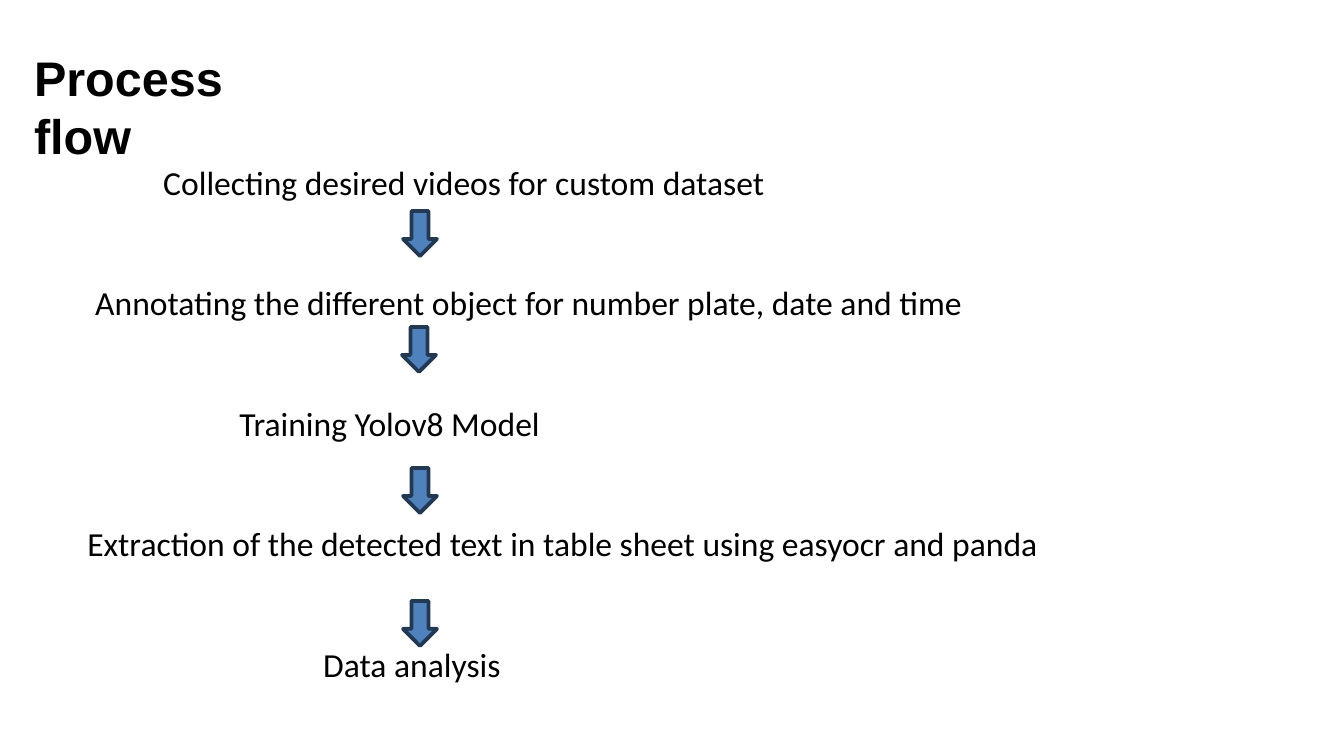
from pptx import Presentation, util as u
from pptx.dml.color import RGBColor
from pptx.enum import shapes, text

SCALE = 914400 / 134.4


def px(n):
    return u.Emu(round(n * SCALE))


def tint(code):
    return RGBColor.from_string(code)


def write(para, words, font="Calibri", size=18, color="000000",
          bold=False, before=0, indent=0):
    para.alignment = text.PP_ALIGN.LEFT
    para.space_before = u.Pt(before)
    props = para._p.get_or_add_pPr()
    props.set("marL", str(px(indent)))
    props.set("indent", "0")
    run = para.add_run()
    run.text = words
    run.font.name = font
    run.font.size = u.Pt(size)
    run.font.bold = bold
    run.font.color.rgb = tint(color)


class Deck:
    fill = "4F81BD"
    edge = "233953"

    def __init__(self, wide, high):
        self.prs = Presentation()
        self.prs.slide_width = px(wide)
        self.prs.slide_height = px(high)
        self.slide = self.prs.slides.add_slide(self.prs.slide_layouts[5])

    def title(self, words, x, y, w, h):
        box = self.slide.shapes.title
        box.left, box.top, box.width, box.height = map(px, (x, y, w, h))
        frame = box.text_frame
        frame.word_wrap = True
        frame.auto_size = text.MSO_AUTO_SIZE.NONE
        frame.vertical_anchor = text.MSO_ANCHOR.TOP
        frame.margin_left = frame.margin_right = frame.margin_bottom = 0
        frame.margin_top = px(1)
        write(frame.paragraphs[0], words, font="Arial", size=26,
              bold=True, before=1.1)

    def steps(self, items, x, y, w, h, gap):
        box = self.slide.shapes.add_textbox(*map(px, (x, y, w, h)))
        frame = box.text_frame
        frame.word_wrap = True
        for i, (indent, words) in enumerate(items):
            para = frame.add_paragraph() if i else frame.paragraphs[0]
            write(para, words, indent=indent, before=gap if i else 0)

    def arrow(self, x, y, w=34, h=45):
        shape = self.slide.shapes.add_shape(
            shapes.MSO_SHAPE.DOWN_ARROW, *map(px, (x, y, w, h)))
        shape.shadow.inherit = False
        shape.fill.solid()
        shape.fill.fore_color.rgb = tint(self.fill)
        shape.line.color.rgb = tint(self.edge)
        shape.line.width = u.Pt(2)


# Each step: left indent in px, wording
STEPS = [
    (106, "Collecting desired videos for custom dataset"),
    (38, "Annotating the different object for number plate, date and time"),
    (182, "Training Yolov8 Model"),
    (30, "Extraction of the detected text in table sheet using easyocr and panda"),
    (266, "Data analysis"),
]
ARROWS = [(403, 211), (402, 327), (403, 468), (403, 601)]


def main():
    deck = Deck(1344, 756)
    # Heading
    deck.title("Process flow", 34, 47, 297, 62)
    # Process steps, two line heights apart
    deck.steps(STEPS, 44, 155, 1220, 543, gap=43)
    # Arrows between steps
    for x, y in ARROWS:
        deck.arrow(x, y)
    deck.prs.save("out.pptx")


if __name__ == "__main__":
    main()
